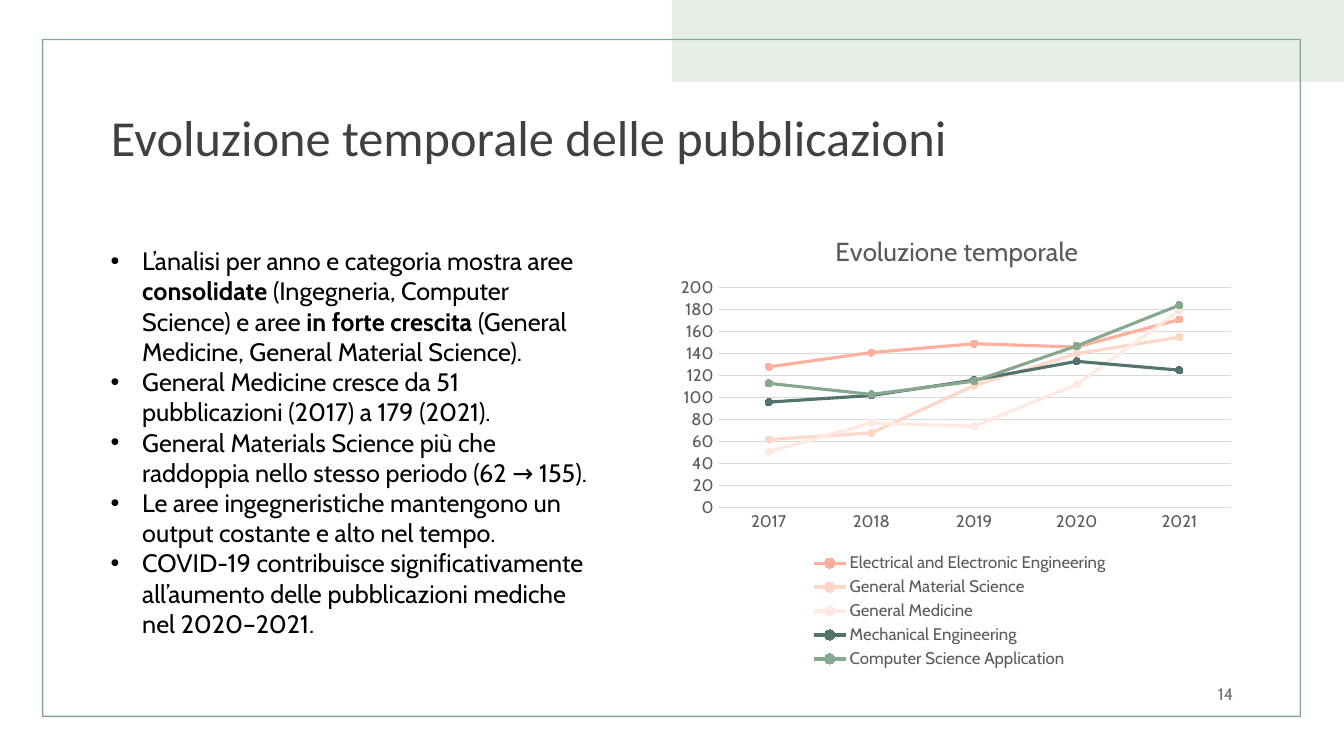
from lxml import etree
from pptx import Presentation
from pptx.chart.data import CategoryChartData
from pptx.dml.color import RGBColor
from pptx.enum.chart import XL_CHART_TYPE, XL_LEGEND_POSITION, XL_MARKER_STYLE, XL_TICK_MARK
from pptx.enum.shapes import MSO_SHAPE
from pptx.enum.text import MSO_ANCHOR, PP_ALIGN
from pptx.oxml.ns import qn
from pptx.util import Emu, Pt

LINE_MARKERS = XL_CHART_TYPE.LINE_MARKERS
LEGEND_BOTTOM = XL_LEGEND_POSITION.BOTTOM
CIRCLE = XL_MARKER_STYLE.CIRCLE
NO_TICK = XL_TICK_MARK.NONE
RECTANGLE, FRAME = MSO_SHAPE.RECTANGLE, MSO_SHAPE.FRAME
TOP, MIDDLE = MSO_ANCHOR.TOP, MSO_ANCHOR.MIDDLE
LEFT, RIGHT = PP_ALIGN.LEFT, PP_ALIGN.RIGHT

BLACK = RGBColor(0x00, 0x00, 0x00)
TITLE_GRAY = RGBColor(0x40, 0x40, 0x40)
CHART_GRAY = RGBColor(0x59, 0x59, 0x59)
NUMBER_GRAY = RGBColor(0x76, 0x71, 0x71)
GRID_GRAY = RGBColor(0xD9, 0xD9, 0xD9)
PALE_GREEN = RGBColor(0xE7, 0xEE, 0xE8)
GREEN = RGBColor(0x88, 0xA8, 0x8E)
DARK_GREEN = RGBColor(0x55, 0x73, 0x6D)
CORAL = RGBColor(0xFF, 0xB0, 0x9D)
PEACH = RGBColor(0xFF, 0xD7, 0xC7)
BLUSH = RGBColor(0xFF, 0xE9, 0xE0)

PX = 9525  # EMU, 96 px to the inch
SLIDE_SIZE = (1280, 720)
TITLE_LAYOUT = 5
BULLET_INDENT = 30

# Each bullet alternates plain and bold pieces.
BULLETS = [
    ["L’analisi per anno e categoria mostra aree ", "consolidate",
     " (Ingegneria, Computer Science) e aree ", "in forte crescita",
     " (General Medicine, General Material Science)."],
    ["General Medicine cresce da 51 pubblicazioni (2017) a 179 (2021)."],
    ["General Materials Science più che raddoppia nello stesso periodo (62 → 155)."],
    ["Le aree ingegneristiche mantengono un output costante e alto nel tempo."],
    ["COVID-19 contribuisce significativamente all’aumento delle pubblicazioni "
     "mediche nel 2020–2021."],
]
YEARS = ["2017", "2018", "2019", "2020", "2021"]
SERIES = [
    ("Electrical and Electronic Engineering", (128, 141, 149, 146, 171), CORAL),
    ("General Material Science", (62, 68, 111, 140, 155), PEACH),
    ("General Medicine", (51, 77, 74, 112, 179), BLUSH),
    ("Mechanical Engineering", (96, 102, 116, 133, 125), DARK_GREEN),
    ("Computer Science Application", (113, 103, 115, 147, 184), GREEN),
]


def set_chart_layout(parent, position, **fractions):
    """Place a chart part by fractions of the chart's size."""
    for old_layout in parent.findall(qn("c:layout")):
        parent.remove(old_layout)
    layout = etree.Element(qn("c:layout"))
    manual = etree.SubElement(layout, qn("c:manualLayout"))
    settings = {"xMode": "edge", "yMode": "edge", **fractions}
    for name, value in settings.items():
        etree.SubElement(manual, qn(f"c:{name}")).set("val", str(value))
    parent.insert(position, layout)


class SlideBuilder:
    def __init__(self, slide, font_name):
        self.slide = slide
        self.font_name = font_name

    def box(self, *lengths):
        return [Emu(length * PX) for length in lengths]

    def style(self, font, size, color, name=None):
        font.name = name or self.font_name
        font.size = Pt(size)
        font.color.rgb = color

    def title(self, text, bounds, size, color, font_name):
        title = self.slide.shapes.title
        title.left, title.top, title.width, title.height = self.box(*bounds)
        title.text_frame.text = text
        title.text_frame.vertical_anchor = MIDDLE
        paragraph = title.text_frame.paragraphs[0]
        paragraph.alignment = LEFT
        paragraph.line_spacing = 0.9
        self.style(paragraph.font, size, color, font_name)

    def shape(self, kind, bounds, color):
        shape = self.slide.shapes.add_shape(kind, *self.box(*bounds))
        shape.shadow.inherit = False
        shape.fill.solid()
        shape.fill.fore_color.rgb = color
        shape.line.fill.background()
        return shape

    def text(self, paragraphs, bounds, size, color, anchor=TOP, alignment=LEFT, bullet=None):
        frame = self.slide.shapes.add_textbox(*self.box(*bounds)).text_frame
        frame.word_wrap = True
        frame.vertical_anchor = anchor
        for index, pieces in enumerate(paragraphs):
            paragraph = frame.add_paragraph() if index else frame.paragraphs[0]
            paragraph.alignment = alignment
            if bullet:
                self.add_bullet(paragraph, bullet)
            self.style(paragraph.font, size, color)
            for piece_index, piece in enumerate(pieces):
                run = paragraph.add_run()
                run.text = piece
                if piece_index % 2:
                    run.font.bold = True

    def add_bullet(self, paragraph, character):
        properties = paragraph._p.get_or_add_pPr()
        properties.set("marL", str(BULLET_INDENT * PX))
        properties.set("indent", str(-BULLET_INDENT * PX))
        etree.SubElement(properties, qn("a:buFont")).set("typeface", "Arial")
        etree.SubElement(properties, qn("a:buChar")).set("char", character)

    def line_chart(self, title, categories, series_rows, bounds):
        data = CategoryChartData()
        data.categories = categories
        for name, values, _ in series_rows:
            data.add_series(name, values)
        chart = self.slide.shapes.add_chart(LINE_MARKERS, *self.box(*bounds), data).chart
        self.style(chart.font, 12, CHART_GRAY)
        chart.has_title = True
        chart.chart_title.text_frame.text = title
        title_font = chart.chart_title.text_frame.paragraphs[0].font
        self.style(title_font, 18.6, CHART_GRAY)
        title_font.bold = False

        for axis in (chart.category_axis, chart.value_axis):
            axis.major_tick_mark = axis.minor_tick_mark = NO_TICK
            self.style(axis.tick_labels.font, 12, CHART_GRAY)
        value_axis = chart.value_axis
        value_axis.minimum_scale, value_axis.maximum_scale = 0, 200
        value_axis.major_unit = 20
        value_axis.format.line.fill.background()
        for line in (chart.category_axis.format.line, value_axis.major_gridlines.format.line):
            line.color.rgb = GRID_GRAY
            line.width = Pt(0.75)

        chart.plots[0].vary_by_categories = False
        for series, (_, _, color) in zip(chart.plots[0].series, series_rows):
            series.smooth = False
            series.format.line.color.rgb = color
            series.format.line.width = Pt(2.25)
            series.marker.style = CIRCLE
            series.marker.size = 5
            series.marker.format.fill.solid()
            series.marker.format.fill.fore_color.rgb = color
            series.marker.format.line.color.rgb = color

        chart.has_legend = True
        chart.legend.position = LEGEND_BOTTOM
        chart.legend.include_in_layout = False
        self.style(chart.legend.font, 12, CHART_GRAY)
        plot_area = chart.element.find(".//" + qn("c:plotArea"))
        legend = chart.element.find(".//" + qn("c:legend"))
        set_chart_layout(plot_area, 0, layoutTarget="inner", x=0.08, y=0.16, w=0.9, h=0.48)
        # The schema wants layoutTarget ahead of the modes.
        manual = plot_area.find(".//" + qn("c:manualLayout"))
        manual.insert(0, manual.find(qn("c:layoutTarget")))
        set_chart_layout(legend, 1, x=0.24, y=0.73, w=0.53, h=0.27)


def main():
    presentation = Presentation()
    presentation.slide_width, presentation.slide_height = (Emu(side * PX) for side in SLIDE_SIZE)
    slide = presentation.slides.add_slide(presentation.slide_layouts[TITLE_LAYOUT])
    builder = SlideBuilder(slide, "Cabin")

    builder.shape(RECTANGLE, (640, 0, 640, 78), PALE_GREEN)
    border = builder.shape(FRAME, (40, 37, 1199, 646), GREEN)
    border.adjustments[0] = 0.002
    builder.title("Evoluzione temporale delle pubblicazioni", (96, 64, 1088, 139),
                  36, TITLE_GRAY, "Calibri")
    builder.line_chart("Evoluzione temporale", YEARS, SERIES, (640, 204, 543, 437))
    builder.text([["14"]], (896, 642, 288, 38), 12, NUMBER_GRAY, MIDDLE, RIGHT)
    builder.text(BULLETS, (96, 229, 483, 388), 18, BLACK, bullet="•")
    presentation.save("out.pptx")


if __name__ == "__main__":
    main()
